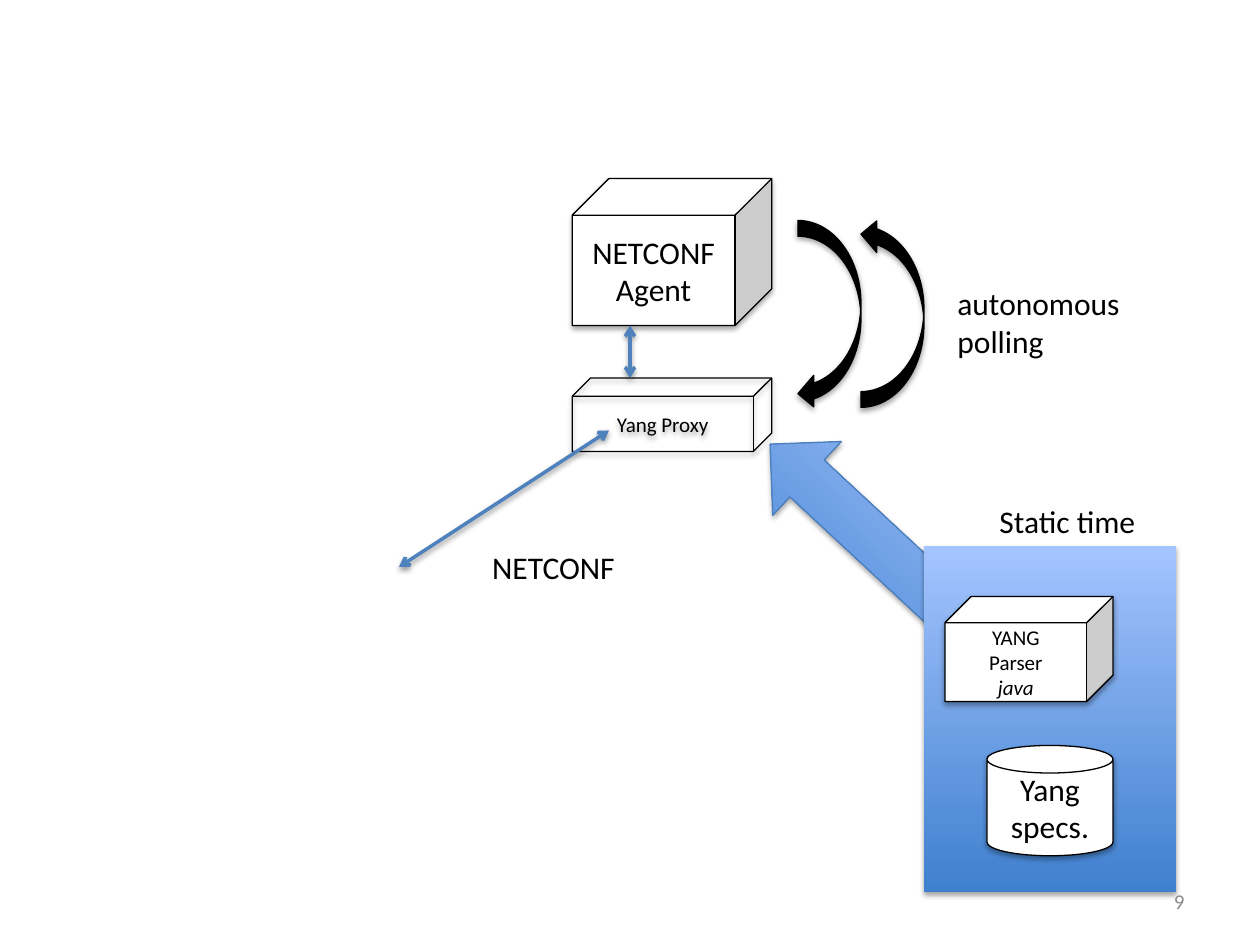
from dataclasses import dataclass
from typing import Optional

from lxml.etree import SubElement
from pptx import Presentation
from pptx.dml.color import RGBColor
from pptx.enum.shapes import MSO_CONNECTOR, MSO_SHAPE
from pptx.enum.text import MSO_ANCHOR, MSO_AUTO_SIZE, PP_ALIGN
from pptx.oxml.ns import qn
from pptx.util import Inches, Pt

CELL = 1 / 12  # grid step in inches: 120 columns by 90 rows
COLS, ROWS = 120, 90
FONT = "Calibri"
COLORS = {
    "ink": "000000",
    "paper": "FFFFFF",
    "deep": "3F80CE",
    "light": "A4C4FF",
    "edge": "4B7EBC",
    "link": "4F81BD",
    "grey": "8C8C8C",
}


@dataclass
class Box:
    kind: MSO_SHAPE
    col: float
    row: float
    wide: float
    high: float
    fill: Optional[str] = "paper"  # a colour, "blend" or None
    line: Optional[str] = "ink"
    text: str = ""
    size: int = 18
    turn: float = 0
    flip: bool = False


@dataclass
class Link:
    start: tuple[float, float]
    end: tuple[float, float]


@dataclass
class Label:
    col: float
    row: float
    wide: float
    high: float
    text: str


BOXES = [
    Box(MSO_SHAPE.LEFT_ARROW, 70.2, 45.5, 23.5, 9.6, "blend", "edge", turn=42.9),
    Box(MSO_SHAPE.RECTANGLE, 88, 52, 24, 33, "blend", None),
    Box(MSO_SHAPE.CUBE, 90, 56.8, 16, 10, text="YANG\nParser\n*java", size=12),
    Box(MSO_SHAPE.CAN, 94, 71, 12, 10.5, text="Yang specs."),
    Box(MSO_SHAPE.CUBE, 54.5, 36, 19, 7, None, text="Yang Proxy", size=12),
    Box(MSO_SHAPE.CUBE, 54.5, 17, 19, 14, text="NETCONF\nAgent"),
    Box(MSO_SHAPE.CURVED_LEFT_ARROW, 76, 21, 6, 18, "ink"),
    Box(MSO_SHAPE.CURVED_LEFT_ARROW, 82, 20.8, 6, 18, "ink", flip=True),
]
LINKS = [Link((38, 54), (58, 41)), Link((60, 31), (60, 36))]
LABELS = [
    Label(94, 47.2, 15.5, 4.8, "Static time"),
    Label(45.7, 51.6, 14.2, 4.8, "NETCONF"),
    Label(90, 26.5, 18.1, 8.5, "autonomous\npolling"),
]


def grid(*cells: float) -> list[int]:
    return [Inches(cell * CELL) for cell in cells]


def color(name: str) -> RGBColor:
    return RGBColor.from_string(COLORS[name])


def write(frame, text: str, size: int = 18, tint: str = "ink",
          align=PP_ALIGN.LEFT, anchor=MSO_ANCHOR.TOP) -> None:
    """Fill a text frame, one paragraph a line; a leading * means italic."""
    frame.vertical_anchor = anchor
    for i, line in enumerate(text.split("\n")):
        para = frame.paragraphs[0] if i == 0 else frame.add_paragraph()
        para.alignment = align
        run = para.add_run()
        run.text = line.lstrip("*")
        font = run.font
        font.name, font.size = FONT, Pt(size)
        font.color.rgb = color(tint)
        if line.startswith("*"):
            font.italic = True


def shade(shape, alpha: int = 35, drop: float = 1.8) -> None:
    """Give a shape or connector a soft shadow straight below it."""
    props = shape._element.spPr
    for old in props.findall(qn("a:effectLst")):
        props.remove(old)
    cast = SubElement(SubElement(props, qn("a:effectLst")), qn("a:outerShdw"),
                      blurRad=str(Pt(3.1)), dist=str(Pt(drop)),
                      dir="5400000", rotWithShape="0")
    tone = SubElement(cast, qn("a:srgbClr"), val=COLORS["ink"])
    SubElement(tone, qn("a:alpha"), val=str(alpha * 1000))


def paint(shape, name: Optional[str]) -> None:
    fill = shape.fill
    if name is None:
        fill.background()
    elif name == "blend":
        fill.gradient()
        fill.gradient_angle = 90
        for stop, tone in zip(fill.gradient_stops, ("deep", "light")):
            stop.color.rgb = color(tone)
    else:
        fill.solid()
        fill.fore_color.rgb = color(name)


def add_box(slide, box: Box) -> None:
    shape = slide.shapes.add_shape(
        box.kind, *grid(box.col, box.row, box.wide, box.high))
    shape.rotation = box.turn
    if box.flip:
        shape._element.spPr.xfrm.set("flipV", "1")
    paint(shape, box.fill)
    if box.line:
        shape.line.color.rgb = color(box.line)
        shape.line.width = Pt(0.75)
    else:
        shape.line.fill.background()
    shade(shape)
    if box.text:
        write(shape.text_frame, box.text, size=box.size,
              align=PP_ALIGN.CENTER, anchor=MSO_ANCHOR.MIDDLE)


def add_link(slide, link: Link) -> None:
    line = slide.shapes.add_connector(
        MSO_CONNECTOR.STRAIGHT, *grid(*link.start, *link.end))
    line.line.color.rgb = color("link")
    line.line.width = Pt(2)
    for tip in ("a:headEnd", "a:tailEnd"):
        SubElement(line.line._get_or_add_ln(), qn(tip), type="arrow")
    shade(line, alpha=38, drop=1.6)


def add_label(slide, label: Label) -> None:
    frame = slide.shapes.add_textbox(
        *grid(label.col, label.row, label.wide, label.high)).text_frame
    frame.word_wrap = False
    frame.auto_size = MSO_AUTO_SIZE.SHAPE_TO_FIT_TEXT
    write(frame, label.text)


def add_number(slide, text: str) -> None:
    frame = slide.shapes.add_textbox(*grid(86, 83.4, 28, 4.8)).text_frame
    frame.word_wrap = True
    write(frame, text, size=12, tint="grey",
          align=PP_ALIGN.RIGHT, anchor=MSO_ANCHOR.MIDDLE)


def main() -> None:
    deck = Presentation()
    deck.slide_width, deck.slide_height = grid(COLS, ROWS)
    slide = deck.slides.add_slide(deck.slide_layouts[6])
    for box in BOXES:
        add_box(slide, box)
    for link in LINKS:
        add_link(slide, link)
    for label in LABELS:
        add_label(slide, label)
    add_number(slide, "9")
    deck.save("out.pptx")


if __name__ == "__main__":
    main()
